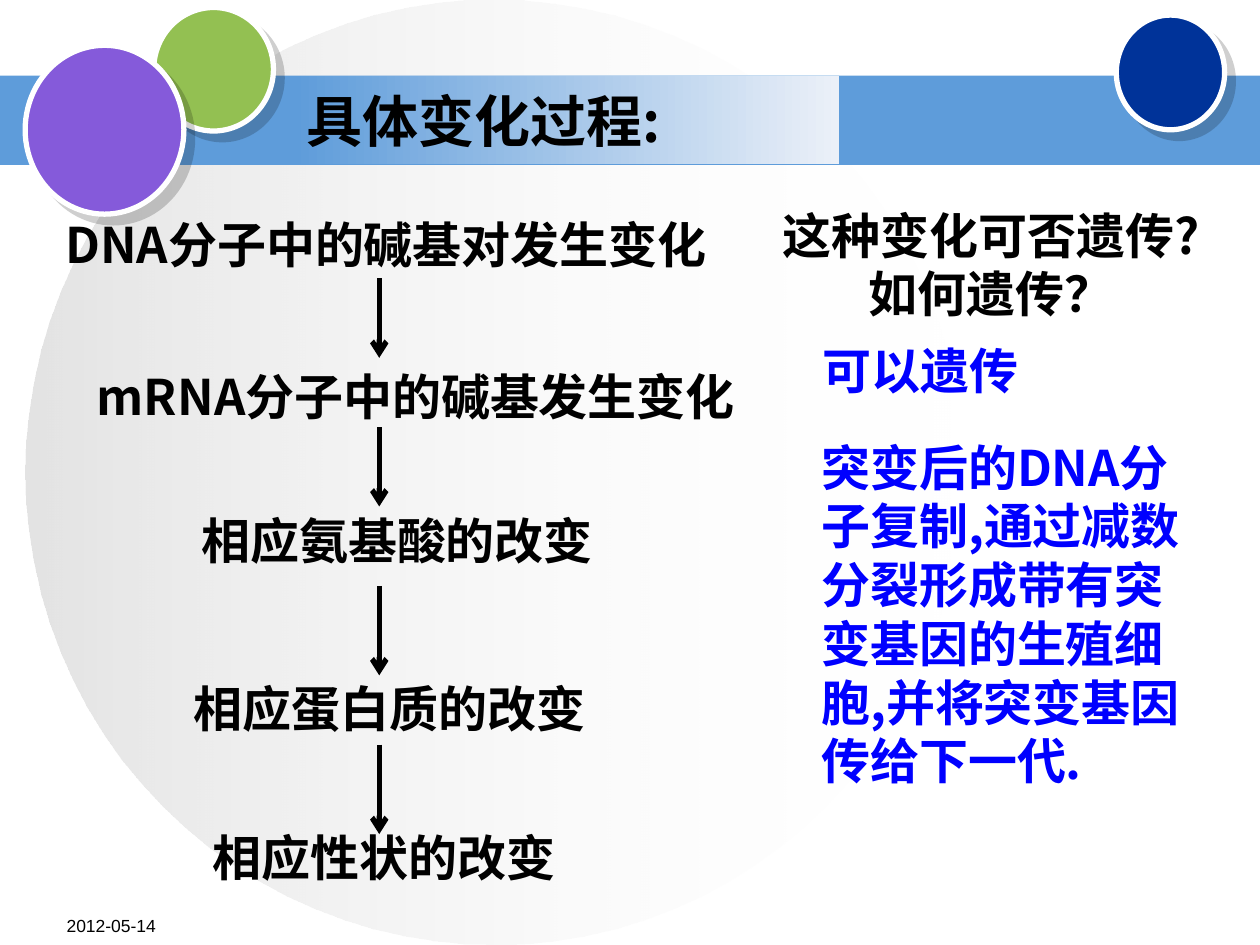
from pptx import Presentation
from pptx.dml.color import RGBColor
from pptx.enum import shapes, text
from pptx.oxml import parse_xml
from pptx.oxml.ns import nsdecls, qn
from pptx.util import Inches, Pt
from lxml import etree

BLACK = RGBColor(0, 0, 0)
WHITE = RGBColor(255, 255, 255)
GREY = RGBColor(0xC0, 0xC0, 0xC0)
BAND = RGBColor(0x5E, 0x9C, 0xDA)
PALE = RGBColor(0xEB, 0xF0, 0xF8)
GREEN = RGBColor(0x93, 0xC0, 0x52)
NAVY = RGBColor(0x00, 0x33, 0x99)
PURPLE = RGBColor(0x85, 0x5A, 0xDA)
BLUE = RGBColor(0, 0, 255)
CJK = "Noto Sans CJK SC"
RECT, OVAL = shapes.MSO_SHAPE.RECTANGLE, shapes.MSO_SHAPE.OVAL


def inches(box):
    return [Inches(v) for v in box]


def add_plain(slide, kind, box, color=None):
    sp = slide.shapes.add_shape(kind, *inches(box))
    sp.shadow.inherit = False
    sp.line.fill.background()
    if color is not None:
        sp.fill.solid()
        sp.fill.fore_color.rgb = color
    return sp


def set_gradient(sp, colors, alphas=()):
    sp.fill.gradient()
    sp.fill.gradient_angle = 0
    for stop, color in zip(sp.fill.gradient_stops, colors):
        stop.color.rgb = color
    for clr, alpha in zip(sp._element.spPr.iter(qn("a:srgbClr")), alphas):
        etree.SubElement(clr, qn("a:alpha")).set("val", str(alpha * 1000))


def format_text(p, size, color=BLACK, font=CJK, bold=True, align=text.PP_ALIGN.LEFT):
    p.alignment = align
    p.font.size, p.font.bold, p.font.name = Pt(size), bold, font
    p.font.color.rgb = color
    for r in p.runs:
        ea = etree.SubElement(r._r.get_or_add_rPr(), qn("a:ea"))
        ea.set("typeface", font)


def add_text(slide, box, lines, color=BLACK, align=text.PP_ALIGN.LEFT):
    tf = slide.shapes.add_textbox(*inches(box)).text_frame
    tf.word_wrap = True
    tf.text = "\n".join(lines)
    for p in tf.paragraphs:
        format_text(p, 28, color, align=align)
        p.line_spacing = Pt(33.6)


def add_ball(slide, box, color):
    sp = add_plain(slide, OVAL, box, color)
    sp.line.color.rgb = WHITE
    sp.line.width = Pt(3)
    effects = sp._element.spPr.find(qn("a:effectLst"))
    effects.append(parse_xml(
        f'<a:outerShdw {nsdecls("a")} blurRad="0" dist="{Pt(7.1)}" dir="2700000" '
        'algn="ctr" rotWithShape="0"><a:srgbClr val="000000">'
        '<a:alpha val="19000"/></a:srgbClr></a:outerShdw>'))


def add_arrow(slide, x, top, bottom):
    line = slide.shapes.add_connector(
        shapes.MSO_CONNECTOR.STRAIGHT, *inches((x, top, x, bottom)))
    line.line.color.rgb = BLACK
    line.line.width = Pt(3)
    etree.SubElement(line.line._get_or_add_ln(), qn("a:tailEnd")).set("type", "arrow")
    etree.SubElement(line._element.spPr, qn("a:effectLst"))


def add_backdrop(slide):
    disc = add_plain(slide, OVAL, (0.2, 0, 7.44, 7.5))
    set_gradient(disc, (GREY, WHITE), (44, 0))
    add_plain(slide, RECT, (0, 0.6, 10, 0.71), BAND)
    add_ball(slide, (1.22, 0.06, 0.95, 0.98), GREEN)
    add_ball(slide, (8.86, 0.12, 0.86, 0.91), NAVY)
    add_ball(slide, (0.2, 0.36, 1.26, 1.34), PURPLE)


def add_title(slide, box):
    title = slide.shapes.title
    title.left, title.top, title.width, title.height = inches(box)
    set_gradient(title, (BAND, PALE))
    tf = title.text_frame
    tf.text = "具体变化过程:"
    tf.auto_size = text.MSO_AUTO_SIZE.NONE
    tf.vertical_anchor = text.MSO_ANCHOR.MIDDLE
    format_text(tf.paragraphs[0], 32)
    # Bring the title in front of the band
    slide.shapes._spTree.append(title._element)


def add_flow(slide, x):
    steps = [
        ((0.42, 1.65, 5.5, 0.57), "DNA分子中的碱基对发生变化"),
        ((0.67, 2.86, 5.75, 0.57), "mRNA分子中的碱基发生变化"),
        ((1.5, 4, 3.8, 0.57), "相应氨基酸的改变"),
        ((1.44, 5.34, 4.06, 0.57), "相应蛋白质的改变"),
        ((1.59, 6.52, 3.41, 0.57), "相应性状的改变"),
    ]
    for box, label in steps:
        add_text(slide, box, [label])
    for top, bottom in ((2.21, 2.84), (3.39, 4.02), (4.65, 5.36), (5.91, 6.62)):
        add_arrow(slide, x, top, bottom)


def add_questions(slide):
    add_text(slide, (5.81, 1.58, 4.11, 1.03), ["这种变化可否遗传?", "如何遗传？"],
             align=text.PP_ALIGN.CENTER)
    add_text(slide, (6.43, 2.65, 3.49, 0.57), ["可以遗传"], BLUE)
    add_text(slide, (6.42, 3.42, 3.08, 2.9),
             ["突变后的DNA分子复制,通过减数分裂形成带有突变基因的生殖细胞,"
              "并将突变基因传给下一代."], BLUE)


def add_footer(slide):
    tf = slide.shapes.add_textbox(*inches((0.43, 7.21, 2.08, 0.29))).text_frame
    tf.word_wrap = True
    tf.text = "2012-05-14"
    format_text(tf.paragraphs[0], 10, font="Arial", bold=False)
    add_plain(slide, RECT, (8.33, 7.1, 1.25, 0.4), WHITE)


def main():
    prs = Presentation()
    prs.slide_width, prs.slide_height = Inches(10), Inches(7.5)
    slide = prs.slides.add_slide(prs.slide_layouts[5])
    add_backdrop(slide)
    add_title(slide, (2.33, 0.6, 4.33, 0.7))
    add_flow(slide, 3.01)
    add_questions(slide)
    add_footer(slide)
    prs.save("out.pptx")


if __name__ == "__main__":
    main()
